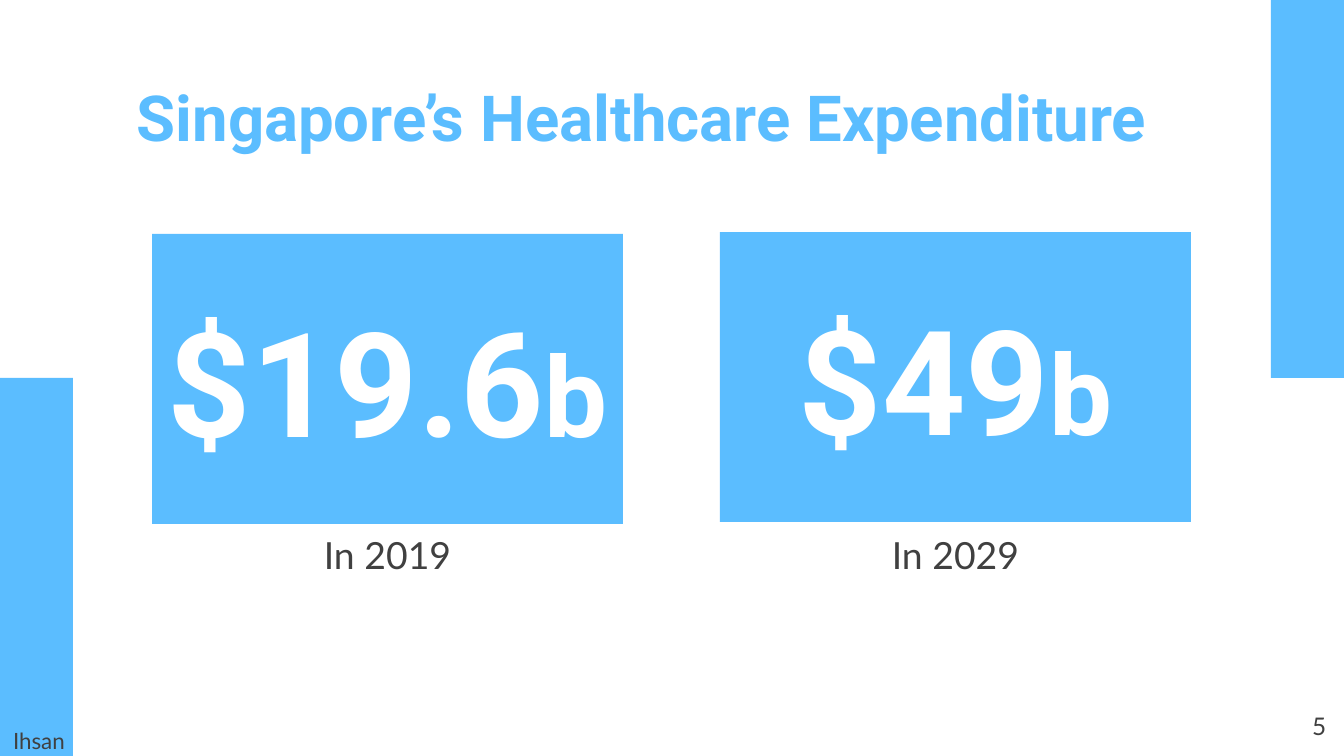
from pptx import Presentation
from pptx.dml.color import RGBColor
from pptx.enum.shapes import MSO_SHAPE as Shape
from pptx.enum.text import MSO_ANCHOR as Anchor, PP_ALIGN as Align
from pptx.util import Pt

SLIDE_WIDTH, SLIDE_HEIGHT = 1344, 756
EMU_PER_PX = 9144000 / SLIDE_WIDTH
INSET = 13

BLUE = RGBColor(0x5B, 0xBD, 0xFF)
GREY = RGBColor(0x40, 0x40, 0x40)
WHITE = RGBColor(0xFF, 0xFF, 0xFF)


def px(length):
    return round(length * EMU_PER_PX)


def add_rectangle(slide, left, top, width, height):
    shape = slide.shapes.add_shape(
        Shape.RECTANGLE, px(left), px(top), px(width), px(height))
    shape.shadow.inherit = False
    shape.fill.solid()
    shape.fill.fore_color.rgb = BLUE
    shape.line.fill.background()
    return shape


def write(shape, runs, font, color, align=Align.LEFT, anchor=Anchor.MIDDLE,
          bold=False, line_spacing=1.0):
    """Fill the shape with one paragraph made of (text, size) runs."""
    frame = shape.text_frame
    frame.word_wrap = True
    frame.vertical_anchor = anchor
    frame.margin_left = frame.margin_right = px(INSET)
    frame.margin_top = frame.margin_bottom = px(INSET)
    paragraph = frame.paragraphs[0]
    paragraph.alignment = align
    paragraph.line_spacing = line_spacing
    for text, size in runs:
        run = paragraph.add_run()
        run.text = text
        run.font.name = font
        run.font.size = Pt(size)
        run.font.bold = bold
        run.font.color.rgb = color


def add_text(slide, box, text, size, font="Lato", color=GREY, **style):
    shape = slide.shapes.add_textbox(*map(px, box))
    write(shape, [(text, size)], font, color, **style)


def add_side_bars(slide, left, top, width, height):
    """Put a bar in the top right and the bottom left corner of the box."""
    bar_width, bar_height = 73, height // 2
    add_rectangle(slide, left + width - bar_width, top, bar_width, bar_height)
    add_rectangle(slide, left, top + height - bar_height, bar_width, bar_height)


def add_amount_card(slide, left, top, width, height, amount, caption):
    card_height, caption_height = 290, 62
    card = add_rectangle(slide, left, top, width, card_height)
    write(card, [(amount, 78), ("b", 60)], "Roboto", WHITE,
          align=Align.CENTER, bold=True)
    caption_box = (left, top + height - caption_height, width, caption_height)
    add_text(slide, caption_box, caption, 20, align=Align.CENTER)


def add_footer(slide, left, top, width, height, author, number):
    author_height, number_width = 34, 81
    add_text(slide, (left, top + height - author_height, 375, author_height),
             author, 12, line_spacing=1.15)
    add_text(slide, (left + width - number_width, top, number_width, height),
             number, 13, align=Align.RIGHT, anchor=Anchor.TOP)


def main():
    presentation = Presentation()
    presentation.slide_width = px(SLIDE_WIDTH)
    presentation.slide_height = px(SLIDE_HEIGHT)
    slide = presentation.slides.add_slide(presentation.slide_layouts[6])

    add_side_bars(slide, 0, 0, SLIDE_WIDTH, SLIDE_HEIGHT)
    add_text(slide, (124, 74, 1097, 99), "Singapore’s Healthcare Expenditure",
             34, font="Roboto", color=BLUE, bold=True, anchor=Anchor.TOP,
             line_spacing=0.9)
    add_amount_card(slide, 152, 234, 471, 352, "$19.6", "In 2019")
    add_amount_card(slide, 720, 232, 471, 354, "$49", "In 2029")
    add_footer(slide, 0, 698, 1339, 58, "Ihsan", "5")

    presentation.save("out.pptx")


if __name__ == "__main__":
    main()
